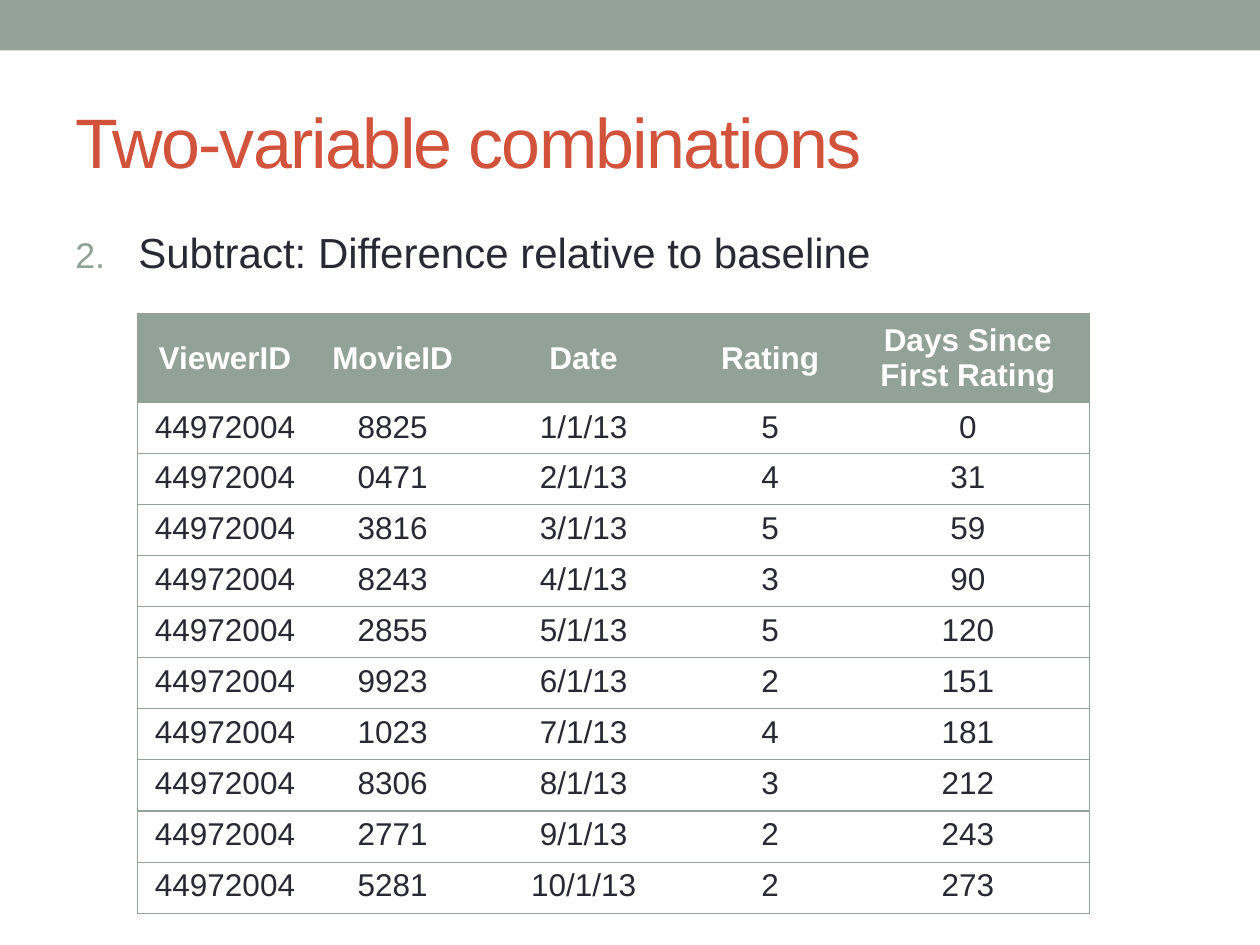
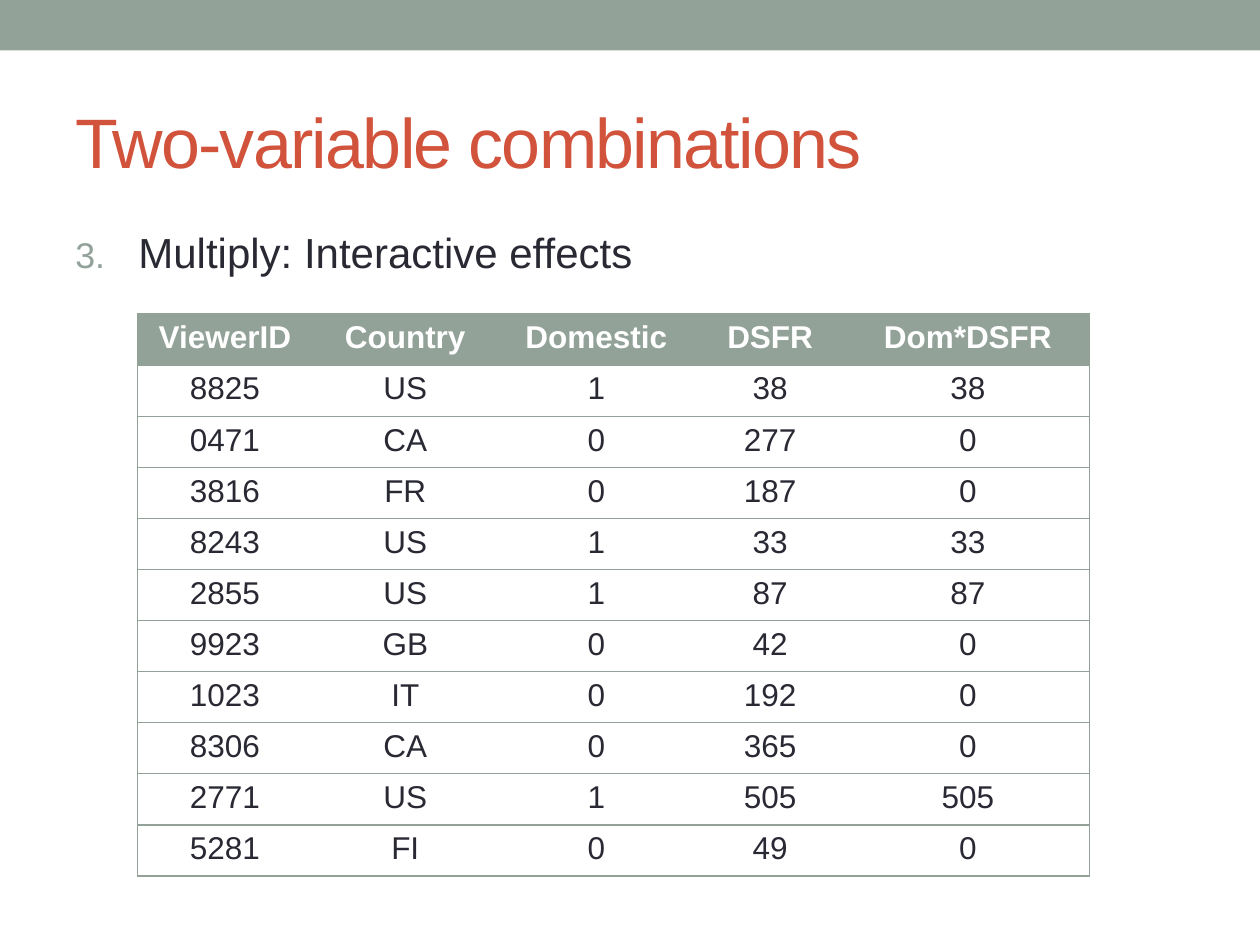
from dataclasses import dataclass

from lxml.etree import SubElement
from pptx import Presentation
from pptx.dml.color import RGBColor
from pptx.enum.shapes import MSO_SHAPE as Shape
from pptx.enum.text import MSO_ANCHOR as Anchor, PP_ALIGN as Align
from pptx.oxml.ns import qn
from pptx.slide import Slide
from pptx.table import _Cell as Cell
from pptx.text.text import TextFrame
from pptx.util import Cm, Pt

COLORS = {
    "sage": "93A299",
    "red": "D2533C",
    "ink": "292934",
    "white": "FFFFFF",
}
FONT = "Arial"
NO_STYLE = "{2D5ABB26-0587-4C30-8999-92F81FD0307C}"
TITLE = "Two-variable combinations"
SLIDE_WIDTH, SLIDE_HEIGHT = 25.4, 19.05
MARGIN = 1.27
TEXT_WIDTH = SLIDE_WIDTH - 2 * MARGIN
TABLE_LEFT, TABLE_TOP = 2.78, 6.33
ROW_HEIGHT = 1.03


@dataclass
class Combination:
    number: int
    text: str
    columns: list[tuple[str, float]]
    rows: list[tuple]
    header_height: float = ROW_HEIGHT
    middle_rows: int = 0


VIEWER = "44972004"
MOVIES = ["8825", "0471", "3816", "8243", "2855",
          "9923", "1023", "8306", "2771", "5281"]
RATINGS = [5, 4, 5, 3, 5, 2, 4, 3, 2, 2]
DAYS = [0, 31, 59, 90, 120, 151, 181, 212, 243, 273]
COUNTRIES = ["US", "CA", "FR", "US", "US", "GB", "IT", "CA", "US", "FI"]
DSFR = [38, 277, 187, 33, 87, 42, 192, 365, 505, 49]
DOMESTIC = [int(country == "US") for country in COUNTRIES]

COMBINATIONS = [
    Combination(
        2, "Subtract: Difference relative to baseline",
        [("ViewerID", 3.51), ("MovieID", 3.25), ("Date", 4.45),
         ("Rating", 3.07), ("Days Since First Rating", 4.9)],
        [(VIEWER, movie, f"{month}/1/13", rating, days)
         for month, (movie, rating, days)
         in enumerate(zip(MOVIES, RATINGS, DAYS), start=1)],
        header_height=1.68, middle_rows=2),
    Combination(
        3, "Multiply: Interactive effects",
        [("ViewerID", 3.51), ("Country", 3.76), ("Domestic", 3.94),
         ("DSFR", 3.07), ("Dom*DSFR", 4.9)],
        [(movie, country, domestic, days, domestic * days)
         for movie, country, domestic, days
         in zip(MOVIES, COUNTRIES, DOMESTIC, DSFR)]),
]


def color(name: str) -> RGBColor:
    return RGBColor.from_string(COLORS[name])


def add_color(parent, name: str) -> None:
    SubElement(parent, qn("a:srgbClr"), val=COLORS[name])


def write_text(frame: TextFrame, text: str, *, size: float, ink: str = "ink",
               bold: bool = False, align: Align = Align.LEFT,
               spacing: float = 0, number: int | None = None) -> None:
    """Write one paragraph, numbered when a number is given."""
    paragraph = frame.paragraphs[0]
    paragraph.alignment = align
    run = paragraph.add_run()
    run.text = text
    run.font.name, run.font.size, run.font.bold = FONT, Pt(size), bold
    run.font.color.rgb = color(ink)
    if spacing:
        run.font._element.set("spc", str(int(spacing * 100)))
    if number is not None:
        properties = paragraph._p.get_or_add_pPr()
        properties.set("marL", str(Cm(1.27)))
        properties.set("indent", str(-Cm(1.27)))
        before = SubElement(properties, qn("a:spcBef"))
        SubElement(before, qn("a:spcPct"), val="20000")
        add_color(SubElement(properties, qn("a:buClr")), "sage")
        SubElement(properties, qn("a:buSzPct"), val="85000")
        SubElement(properties, qn("a:buFont"), typeface=FONT)
        SubElement(properties, qn("a:buAutoNum"), type="arabicPeriod",
                   startAt=str(number))


def add_text(slide: Slide, text: str, top: float, height: float,
             anchor: Anchor, **style) -> None:
    box = slide.shapes.add_textbox(Cm(MARGIN), Cm(top), Cm(TEXT_WIDTH), Cm(height))
    frame = box.text_frame
    frame.word_wrap = True
    frame.vertical_anchor = anchor
    write_text(frame, text, **style)


def add_borders(cell: Cell, sides: str) -> None:
    """Rule the given sides and leave the others bare."""
    properties = cell._tc.get_or_add_tcPr()
    for side in "LRTB":
        line = SubElement(properties, qn(f"a:ln{side}"), w=str(Pt(0.75)))
        if side in sides:
            add_color(SubElement(line, qn("a:solidFill")), "sage")
        else:
            SubElement(line, qn("a:noFill"))


def add_frame(slide: Slide) -> None:
    # Top band
    band = slide.shapes.add_shape(Shape.RECTANGLE, 0, 0, Cm(SLIDE_WIDTH), Cm(1.02))
    band.shadow.inherit = False
    band.fill.solid()
    band.fill.fore_color.rgb = color("sage")
    band.line.fill.background()
    # Title
    add_text(slide, TITLE, 1.47, 2.74, Anchor.MIDDLE,
             size=40, ink="red", spacing=-1)


def add_data_table(slide: Slide, combination: Combination) -> None:
    names, widths = zip(*combination.columns)
    rows = [names, *combination.rows]
    heights = [combination.header_height] + [ROW_HEIGHT] * len(combination.rows)
    graphic = slide.shapes.add_table(
        len(rows), len(names), Cm(TABLE_LEFT), Cm(TABLE_TOP),
        Cm(sum(widths)), Cm(sum(heights)))
    table = graphic.table
    table._tbl.tblPr.find(qn("a:tableStyleId")).text = NO_STYLE
    table.horz_banding = False
    for column, width in zip(table.columns, widths):
        column.width = Cm(width)
    for row, height in zip(table.rows, heights):
        row.height = Cm(height)

    # Cells
    last = len(names) - 1
    for row_index, values in enumerate(rows):
        header = row_index == 0
        for column_index, value in enumerate(values):
            cell = table.cell(row_index, column_index)
            add_borders(cell, "TB" + "L" * (column_index == 0)
                        + "R" * (column_index == last))
            if header:
                cell.fill.solid()
                cell.fill.fore_color.rgb = color("sage")
            else:
                cell.fill.background()
            if row_index < combination.middle_rows:
                cell.vertical_anchor = Anchor.MIDDLE
            write_text(cell.text_frame, str(value), size=18, bold=header,
                       ink="white" if header else "ink", align=Align.CENTER)


def main() -> None:
    presentation = Presentation()
    presentation.slide_width = Cm(SLIDE_WIDTH)
    presentation.slide_height = Cm(SLIDE_HEIGHT)
    blank = presentation.slide_layouts[6]
    for combination in COMBINATIONS:
        slide = presentation.slides.add_slide(blank)
        add_frame(slide)
        add_text(slide, combination.text, 4.45, 1.65, Anchor.TOP,
                 size=24, number=combination.number)
        add_data_table(slide, combination)
    presentation.save("out.pptx")


if __name__ == "__main__":
    main()
